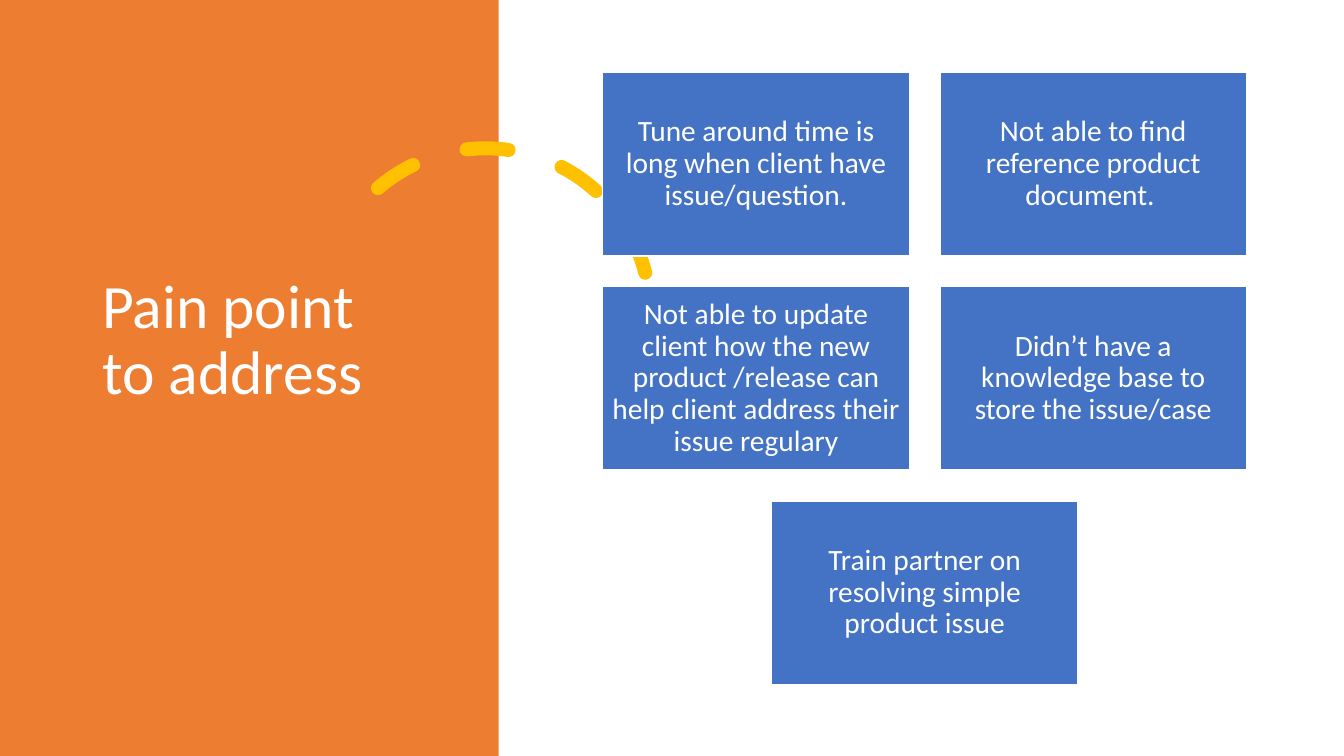
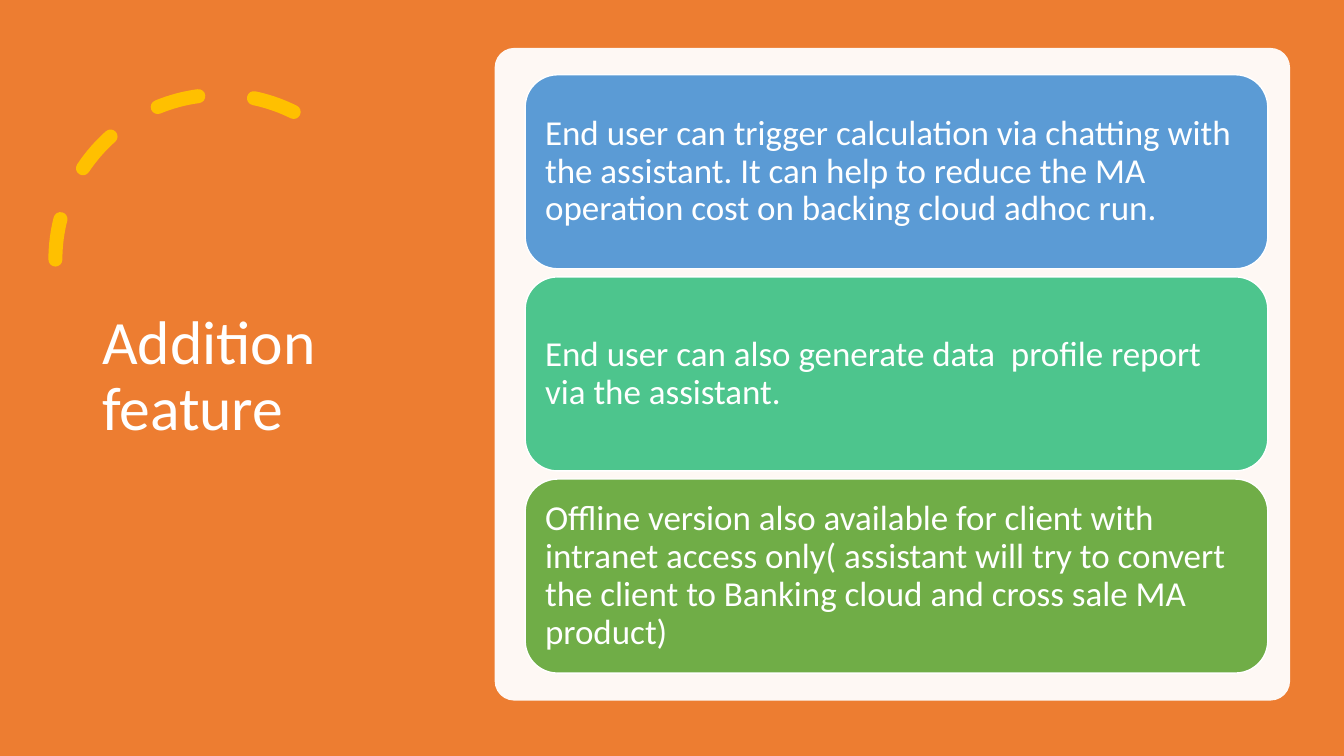
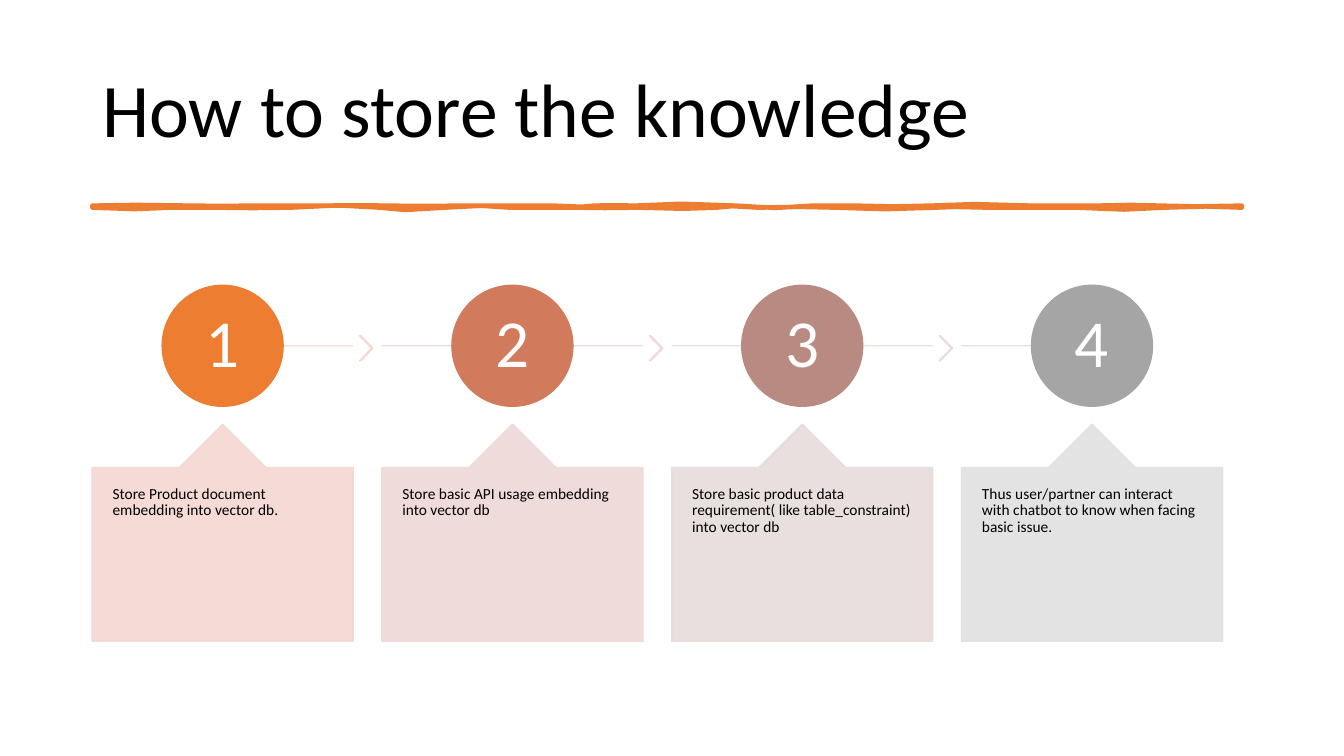
import pptx
import pptx.dml.color
import pptx.enum.dml
import pptx.enum.shapes
import pptx.enum.text
import pptx.oxml
import pptx.oxml.ns
import pptx.util

Pt = pptx.util.Pt
SHAPE = pptx.enum.shapes.MSO_SHAPE
ANCHOR = pptx.enum.text.MSO_ANCHOR
ALIGN = pptx.enum.text.PP_ALIGN

WIDTH, HEIGHT = 960, 540
FONT = "Calibri"
COLOURS = {
    "orange": "ED7D31", "yellow": "FFC000", "blue": "4472C4",
    "white": "FFFFFF", "black": "000000",
    "sky": "5B9BD5", "mint": "4DC58D", "green": "70AD47",
}

PAIN_TITLE = "Pain point to address"
PAIN_ROWS = [
    ["Tune around time is long when client have issue/question.",
     "Not able to find reference product document. "],
    ["Not able to update client how the new product /release can help client "
     "address their issue regulary",
     "Didn’t have a knowledge base to store the issue/case"],
    ["Train partner on resolving simple product issue"],
]

FEATURE_TITLE = "Addition feature"
FEATURES = [
    ("sky", "End user can trigger calculation via chatting with the assistant. "
            "It can help to reduce the MA operation cost on backing cloud adhoc run."),
    ("mint", "End user can also generate data  profile report via the assistant."),
    ("green", "Offline version also available for client with intranet access only( "
              "assistant will try to convert the client to Banking cloud and cross "
              "sale MA product)"),
]

STORE_TITLE = "How to store the knowledge"
# text, then the hex colours of circle, line, chevron and card
STEPS = [
    ("Store Product document embedding into vector db.",
     "ED7D31", "F8D7CE", "F6D7CF", "F4D7D1"),
    ("Store basic API usage embedding into vector db",
     "D17B5C", "F2D8D3", "F0D8D4", "EED9D6"),
    ("Store basic product data requirement( like table_constraint) into vector db",
     "B98A82", "ECDAD8", "EADBD9", "E7DCDB"),
    ("Thus user/partner can interact with chatbot to know when facing basic issue.",
     "A5A5A5", "E5DDDD", None, "E1E1E1"),
]

# Brush stroke edges: control x, control rise, control x, control rise, end x
STROKE_LEFT, STROKE_TOP, STROKE_DEPTH = 66, 146.9, 1.4
STROKE_UPPER = [
    (86, 0, 104, -1.4, 137), (171, 1.4, 158, -0.7, 176), (192, 0.7, 218, -0.7, 238),
    (259, 0.7, 258, -1.4, 276), (295, 1.4, 305, -0.7, 331), (359, 0.7, 370, -0.7, 395),
    (418, 0.7, 418, 1.4, 424), (431, -1.4, 443, 0.7, 454), (466, -0.7, 505, -2.9, 526),
    (546, 2.9, 562, 1.4, 580), (598, -1.4, 595, 1.4, 611), (625, -1.4, 649, 2.9, 665),
    (682, -2.9, 707, 0, 737), (765, 0, 765, 0, 783), (801, 0, 818, -1.4, 829),
    (841, 1.4, 866, 0, 887),
]
STROKE_LOWER = [
    (868, 0, 856, -2.2, 832), (808, 2.2, 799, 1.4, 769), (739, -1.4, 737, 1.4, 706),
    (676, -1.4, 685, 0, 668), (651, 0, 613, 2.9, 597), (580, -2.9, 563, 1.4, 542),
    (521, -1.4, 522, -1.4, 512), (503, 1.4, 476, 0.7, 457), (438, -0.7, 425, 1.4, 410),
    (397, -1.4, 380, 1.4, 364), (348, -1.4, 341, -2.2, 318), (294, 2.2, 281, 2.2, 271),
    (261, -2.2, 223, -2.2, 208), (193, 2.2, 169, -1.4, 153), (138, 1.4, 136, -1.4, 123),
    (111, 1.4, 82, 1.4, 66),
]


def rgb(colour):
    """Accept a palette name or a hex string."""
    return pptx.dml.color.RGBColor.from_string(COLOURS.get(colour, colour))


def make_translucent(shape, percent):
    for colour in shape._element.spPr.iter(pptx.oxml.ns.qn("a:srgbClr")):
        alpha = colour.makeelement(pptx.oxml.ns.qn("a:alpha"), {"val": str(percent * 1000)})
        colour.append(alpha)


def paint(shape, fill, line=None, line_width=1.0):
    shape.shadow.inherit = False
    shape.fill.solid()
    shape.fill.fore_color.rgb = rgb(fill)
    if line:
        shape.line.color.rgb = rgb(line)
        shape.line.width = Pt(line_width)
    else:
        shape.line.fill.background()


def add_block(page, kind, left, top, width, height, fill, line=None):
    shape = page.shapes.add_shape(kind, Pt(left), Pt(top), Pt(width), Pt(height))
    paint(shape, fill, line)
    return shape


def write(shape, text, size, colour="white", inset=(7.2, 3.6),
          align=ALIGN.LEFT, anchor=ANCHOR.MIDDLE):
    frame = shape.text_frame
    frame.word_wrap = True
    frame.vertical_anchor = anchor
    frame.margin_left = frame.margin_right = Pt(inset[0])
    frame.margin_top = frame.margin_bottom = Pt(inset[1])
    frame.text = text
    para = frame.paragraphs[0]
    para.alignment = align
    para.line_spacing = 0.9
    span = para.runs[0]
    span.font.name = FONT
    span.font.size = Pt(size)
    span.font.color.rgb = rgb(colour)


def add_title(page, text, top, width, height, size=44, colour="white"):
    box = page.shapes.add_textbox(Pt(66), Pt(top), Pt(width), Pt(height))
    write(box, text, size, colour)


def add_dashed_arc(page, left, top, rotation=0, flipped=False):
    arc = page.shapes.add_shape(SHAPE.ARC, Pt(left), Pt(top), Pt(235.5), Pt(235.5))
    arc.shadow.inherit = False
    arc.adjustments[0] = 146.13
    arc.adjustments[1] = 0
    arc.rotation = rotation
    arc.fill.background()
    arc.line.color.rgb = rgb("yellow")
    arc.line.width = Pt(10)
    arc.line.dash_style = pptx.enum.dml.MSO_LINE.DASH
    arc.line._get_or_add_ln().set("cap", "rnd")
    if flipped:
        arc._element.spPr.find(pptx.oxml.ns.qn("a:xfrm")).set("flipH", "1")


def curve_points(start_x, base_y, curves, pieces=2):
    """Sample cubic curves whose ends all lie at base_y."""
    points = []
    for x1, rise1, x2, rise2, end_x in curves:
        for piece in range(1, pieces + 1):
            t = piece / pieces
            near, far = 3 * t * (1 - t) ** 2, 3 * t ** 2 * (1 - t)
            x = (1 - t) ** 3 * start_x + near * x1 + far * x2 + t ** 3 * end_x
            points.append((Pt(x), Pt(base_y + near * rise1 + far * rise2)))
        start_x = end_x
    return points


def add_brush_stroke(page):
    right = STROKE_UPPER[-1][-1]
    bottom = STROKE_TOP + STROKE_DEPTH
    builder = page.shapes.build_freeform(Pt(STROKE_LEFT), Pt(STROKE_TOP))
    builder.add_line_segments(
        curve_points(STROKE_LEFT, STROKE_TOP, STROKE_UPPER)
        + [(Pt(right), Pt(bottom))]
        + curve_points(right, bottom, STROKE_LOWER), close=True)
    paint(builder.convert_to_shape(), "orange", "orange", 3.25)


def build_pain_points(page):
    add_block(page, SHAPE.RECTANGLE, 0, 0, 356.2, HEIGHT, "orange")
    add_dashed_arc(page, 229, 106, rotation=345.8)
    add_title(page, PAIN_TITLE, 50.4, 232.6, 387)
    width, height, gap = 219, 131.2, 21.9
    centre, top = 660.5, 51.6
    for row, texts in enumerate(PAIN_ROWS):
        left = centre - (len(texts) * (width + gap) - gap) / 2
        for column, text in enumerate(texts):
            tile = add_block(page, SHAPE.RECTANGLE, left + column * (width + gap),
                             top + row * (height + gap), width, height, "blue", "white")
            write(tile, text, 21, inset=(6.3, 6.3), align=ALIGN.CENTER)


def build_features(page):
    add_block(page, SHAPE.RECTANGLE, 0, 0, WIDTH, HEIGHT, "orange")
    add_dashed_arc(page, 39.6, 67.7, flipped=True)
    add_title(page, FEATURE_TITLE, 50.4, 232.6, 438.5)
    panel = add_block(page, SHAPE.ROUNDED_RECTANGLE, 353.3, 34.2, 568.2, 466.2, "white")
    panel.adjustments[0] = 0.03
    make_translucent(panel, 95)
    for row, (fill, text) in enumerate(FEATURES):
        card = add_block(page, SHAPE.ROUNDED_RECTANGLE, 375.1, 53.4 + row * 144.4,
                         530.5, 138.6, fill, "white")
        write(card, text, 25, inset=(7.5, 7.5))


def build_steps(page):
    add_title(page, STORE_TITLE, 28.8, 828, 104.4, size=54, colour="black")
    add_brush_stroke(page)
    card_width, pitch, first_left = 186.5, 207, 65.8
    diameter, circle_top = 86.4, 203.8
    middle = circle_top + diameter / 2
    for index, (text, circle_fill, line_colour, chevron_fill, card_fill) in enumerate(STEPS):
        left = first_left + index * pitch
        centre = left + card_width / 2
        line_start = left if index else centre
        line_end = left + card_width if chevron_fill else centre
        line = page.shapes.add_connector(pptx.enum.shapes.MSO_CONNECTOR.STRAIGHT,
                                         Pt(line_start), Pt(middle), Pt(line_end), Pt(middle))
        line.line.color.rgb = rgb(line_colour)
        line.line.width = Pt(1)
        make_translucent(line, 90)
        properties = line._element.spPr
        properties.append(properties.makeelement(pptx.oxml.ns.qn("a:effectLst"), {}))

        if chevron_fill:
            chevron = add_block(page, SHAPE.CHEVRON, left + 191, 239.8, 9.6, 17.9,
                                chevron_fill, chevron_fill)
            chevron.adjustments[0] = 0.9
            make_translucent(chevron, 90)

        circle = add_block(page, SHAPE.OVAL, centre - diameter / 2, circle_top,
                           diameter, diameter, circle_fill, circle_fill)
        write(circle, str(index + 1), 48, inset=(3.4, 3.4), align=ALIGN.CENTER)

        card = add_block(page, SHAPE.UP_ARROW_CALLOUT, left, 303, card_width, 155,
                         card_fill, card_fill)
        for position, value in enumerate((0.5, 0.2, 0.2, 1)):
            card.adjustments[position] = value
        make_translucent(card, 90)
        write(card, text, 11, "black", inset=(14.6, 13), anchor=ANCHOR.TOP)


def main():
    deck = pptx.Presentation()
    deck.slide_width, deck.slide_height = Pt(WIDTH), Pt(HEIGHT)
    for build in (build_pain_points, build_features, build_steps):
        build(deck.slides.add_slide(deck.slide_layouts[6]))
    deck.save("out.pptx")


if __name__ == "__main__":
    main()
